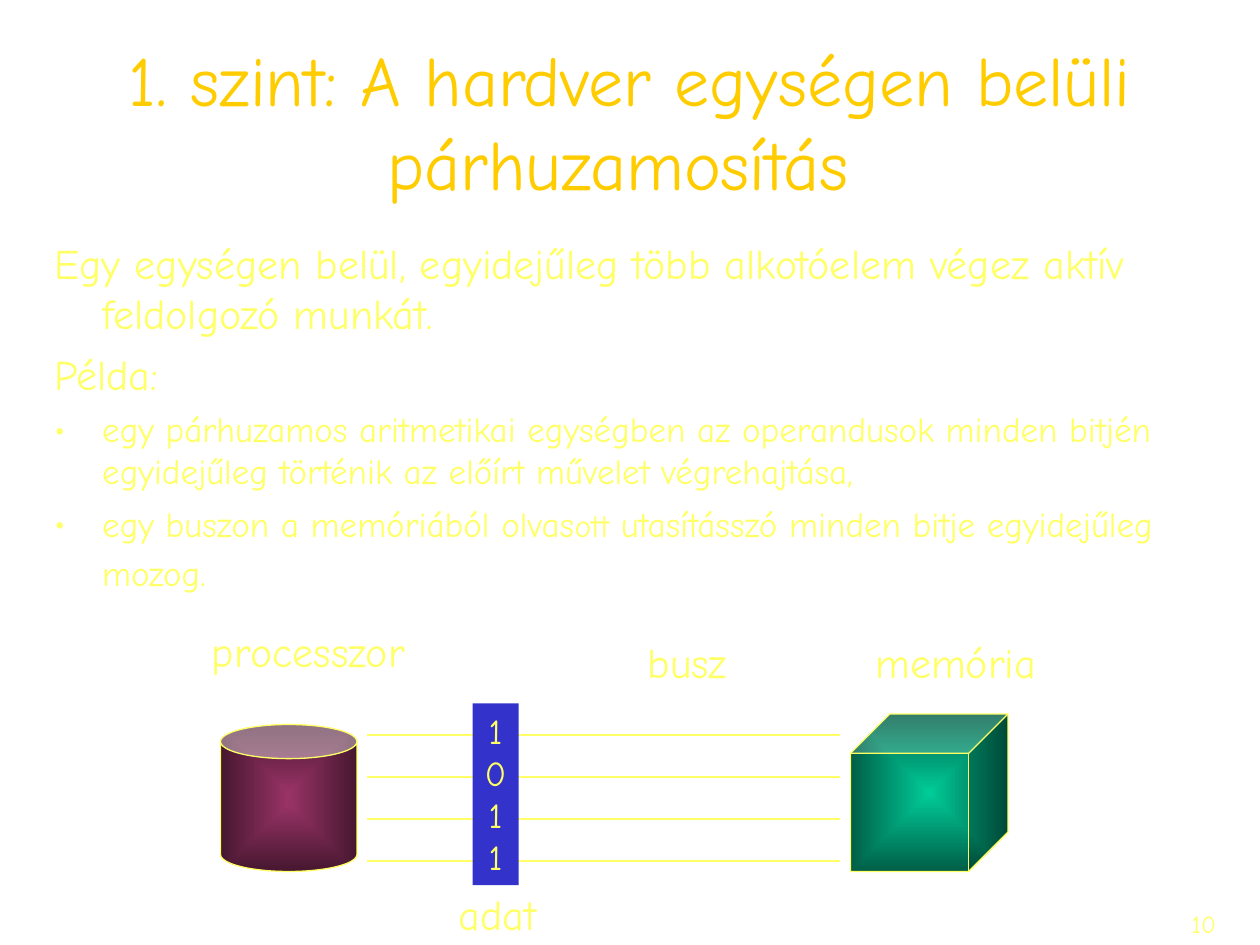
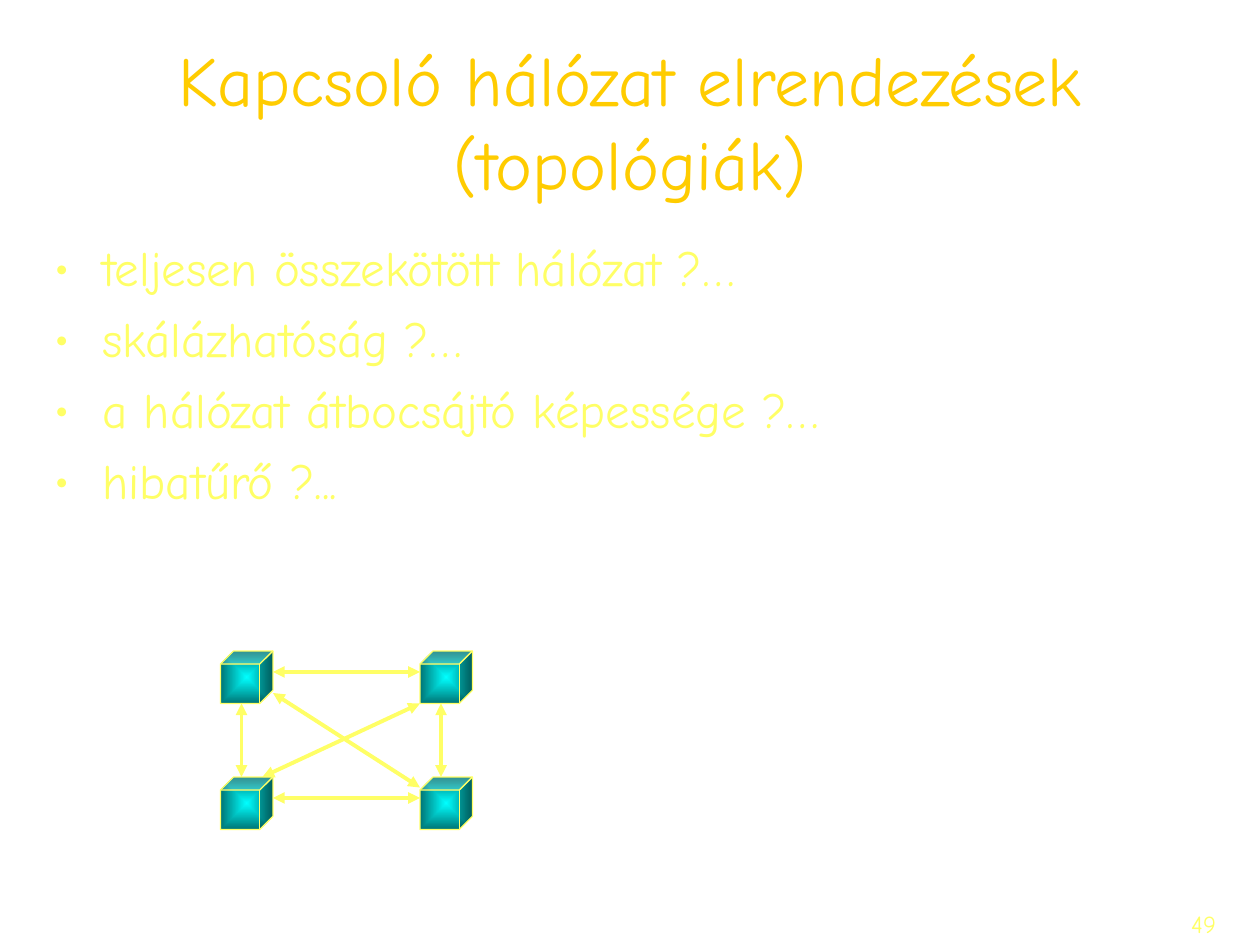
import dataclasses
import itertools

import lxml.etree
import pptx
import pptx.dml.color
import pptx.enum.shapes
import pptx.enum.text
import pptx.oxml.ns
import pptx.util

SHAPES = pptx.enum.shapes.MSO_SHAPE
ALIGN = pptx.enum.text.PP_ALIGN
ANCHOR = pptx.enum.text.MSO_ANCHOR


@dataclasses.dataclass(frozen=True)
class Theme:
    font: str = "Comic Neue"
    title: str = "FFCC00"
    text: str = "FFFF66"
    data: str = "3333CC"
    processor: tuple = ("993366", "46172F")
    memory: tuple = ("00CC99", "005E46")
    node: tuple = ("00FFFF", "007575")
    title_size: int = 40
    large_size: int = 28
    body_size: int = 24
    detail_size: int = 20
    small_size: int = 18
    page_size: int = 14
    thin: float = 0.75
    thick: float = 2.25


THEME = Theme()
WIDTH, HEIGHT = 10, 7.5
COLUMNS, ROWS = 120, 90
TITLE_AREA = (0, 4, 120, 15)
BODY_AREA = (4, 22, 113, 64)
PAGE_AREA = (92, 86, 25, 4)
HANGING = 0.38

PARALLEL = {
    "title": "1. szint: A hardver egységen belüli párhuzamosítás ",
    "page": "10",
    "body": [
        (False, 6, [("Egy egységen belül, egyidejűleg több alkotóelem végez aktív feldolgozó munkát.",
                     THEME.body_size)]),
        (False, 6, [("Példa:", THEME.body_size)]),
        (True, 5, [("egy párhuzamos aritmetikai egységben az operandusok minden bitjén "
                    "egyidejűleg történik az előírt művelet végrehajtása,", THEME.detail_size)]),
        (True, 6, [("egy buszon a memóriából olvas", THEME.detail_size),
                   ("ott", THEME.small_size),
                   (" utasításszó minden bitje egyidejűleg mozog.", THEME.detail_size),
                   (" ", THEME.body_size)]),
    ],
}
BUS_LABELS = [
    ("processzor", (19, 59, 22, 6)),
    ("memória", (82.2, 60, 19, 6)),
    ("busz", (60.5, 60, 11, 6)),
    ("adat", (42.5, 84, 11, 6)),
]
BITS = ["1", "0", "1", "1"]
BITS_AREA = (45, 67, 4.4, 17.3)
BUS_LEFT, BUS_RIGHT, BUS_TOP, BUS_STEP = 35, 80, 70, 4

TOPOLOGY = {
    "title": "Kapcsoló hálózat elrendezések (topológiák)",
    "page": "49",
    "body": [(True, 7, [(line, THEME.large_size)]) for line in [
        "teljesen összekötött hálózat ?…",
        "skálázhatóság ?…",
        "a hálózat átbocsájtó képessége ?…",
        "hibatűrő ?...",
    ]],
}
NODE_COLUMNS, NODE_ROWS, NODE_SIZE = (21, 40), (62, 74), 5
DIAGONALS = [((25, 74), (40, 67)), ((26, 66), (40, 75))]


def across(columns):
    return pptx.util.Inches(columns * WIDTH / COLUMNS)


def down(rows):
    return pptx.util.Inches(rows * HEIGHT / ROWS)


def place(area):
    left, top, width, height = area
    return across(left), down(top), across(width), down(height)


def rgb(color):
    return pptx.dml.color.RGBColor.from_string(color)


def add_xml(parent, tag, **attributes):
    return lxml.etree.SubElement(parent, pptx.oxml.ns.qn(tag), attributes)


def style(font, size, color=THEME.text):
    font.name = THEME.font
    font.size = pptx.util.Pt(size)
    font.color.rgb = rgb(color)


def add_text(slide, area, text, size, color=THEME.text, align=ALIGN.LEFT,
             anchor=ANCHOR.TOP):
    box = slide.shapes.add_textbox(*place(area))
    frame = box.text_frame
    frame.word_wrap = True
    frame.vertical_anchor = anchor
    paragraph = frame.paragraphs[0]
    paragraph.text = text
    paragraph.alignment = align
    style(paragraph.font, size, color)


def add_body(slide, items):
    frame = slide.shapes.add_textbox(*place(BODY_AREA)).text_frame
    frame.word_wrap = True
    indent = pptx.util.Inches(HANGING)
    for index, (bulleted, space, runs) in enumerate(items):
        paragraph = frame.add_paragraph() if index else frame.paragraphs[0]
        properties = paragraph._p.get_or_add_pPr()
        properties.set("marL", str(indent))
        properties.set("indent", str(-indent))
        if bulleted:
            add_xml(add_xml(properties, "a:buClr"), "a:srgbClr", val=THEME.text)
            add_xml(properties, "a:buFont", typeface=THEME.font)
            add_xml(properties, "a:buChar", char="•")
        if index:
            paragraph.space_before = pptx.util.Pt(space)
        base_size = runs[0][1]
        style(paragraph.font, base_size)
        for text, size in runs:
            run = paragraph.add_run()
            run.text = text
            if size != base_size:
                run.font.size = pptx.util.Pt(size)


def add_solid(slide, kind, area, colors):
    shape = slide.shapes.add_shape(kind, *place(area))
    shape.shadow.inherit = False
    shape.adjustments[0] = 0.25
    shape.fill.gradient()
    for stop, color in zip(shape.fill.gradient_stops, colors):
        stop.color.rgb = rgb(color)
    gradient = shape._element.spPr.find(pptx.oxml.ns.qn("a:gradFill"))
    gradient.remove(gradient.find(pptx.oxml.ns.qn("a:lin")))
    focus = add_xml(gradient, "a:path", path="rect")
    add_xml(focus, "a:fillToRect", l="50000", t="50000", r="50000", b="50000")
    shape.line.color.rgb = rgb(THEME.text)
    shape.line.width = pptx.util.Pt(THEME.thin)


def add_line(slide, start, end, width, arrows=False):
    connector = slide.shapes.add_connector(
        pptx.enum.shapes.MSO_CONNECTOR.STRAIGHT,
        across(start[0]), down(start[1]), across(end[0]), down(end[1]))
    connector.line.color.rgb = rgb(THEME.text)
    connector.line.width = pptx.util.Pt(width)
    properties = connector._element.spPr
    if arrows:
        line = properties.find(pptx.oxml.ns.qn("a:ln"))
        for tag in ("a:headEnd", "a:tailEnd"):
            add_xml(line, tag, type="triangle")
    add_xml(properties, "a:effectLst")


def add_slide(presentation, content):
    slide = presentation.slides.add_slide(presentation.slide_layouts[6])
    add_text(slide, TITLE_AREA, content["title"], THEME.title_size, THEME.title,
             ALIGN.CENTER, ANCHOR.MIDDLE)
    add_body(slide, content["body"])
    add_text(slide, PAGE_AREA, content["page"], THEME.page_size, align=ALIGN.RIGHT)
    return slide


def add_bits(slide):
    shape = slide.shapes.add_shape(SHAPES.RECTANGLE, *place(BITS_AREA))
    shape.shadow.inherit = False
    shape.fill.solid()
    shape.fill.fore_color.rgb = rgb(THEME.data)
    shape.line.fill.background()
    frame = shape.text_frame
    frame.word_wrap = False
    frame.vertical_anchor = ANCHOR.TOP
    frame.text = "\n".join(BITS)
    for paragraph in frame.paragraphs:
        paragraph.alignment = ALIGN.CENTER
        style(paragraph.font, THEME.detail_size)


def draw_bus(slide):
    add_solid(slide, SHAPES.CUBE, (81, 68, 15, 15), THEME.memory)
    add_solid(slide, SHAPES.CAN, (21, 69, 13, 14), THEME.processor)
    for index in range(len(BITS)):
        row = BUS_TOP + index * BUS_STEP
        add_line(slide, (BUS_LEFT, row), (BUS_RIGHT, row), THEME.thin)
    add_bits(slide)
    for text, area in BUS_LABELS:
        add_text(slide, area, text, THEME.body_size)


def draw_network(slide):
    for column, row in itertools.product(NODE_COLUMNS, NODE_ROWS):
        add_solid(slide, SHAPES.CUBE, (column, row, NODE_SIZE, NODE_SIZE), THEME.node)
    left, right = NODE_COLUMNS
    top, bottom = NODE_ROWS
    horizontal = [((left + NODE_SIZE, row + 2), (right, row + 2)) for row in NODE_ROWS]
    vertical = [((column + 2, top + NODE_SIZE), (column + 2, bottom)) for column in NODE_COLUMNS]
    for start, end in horizontal + DIAGONALS + vertical:
        add_line(slide, start, end, THEME.thick, arrows=True)


def main():
    presentation = pptx.Presentation()
    presentation.slide_width = pptx.util.Inches(WIDTH)
    presentation.slide_height = pptx.util.Inches(HEIGHT)
    draw_bus(add_slide(presentation, PARALLEL))
    draw_network(add_slide(presentation, TOPOLOGY))
    presentation.save("out.pptx")


if __name__ == "__main__":
    main()
